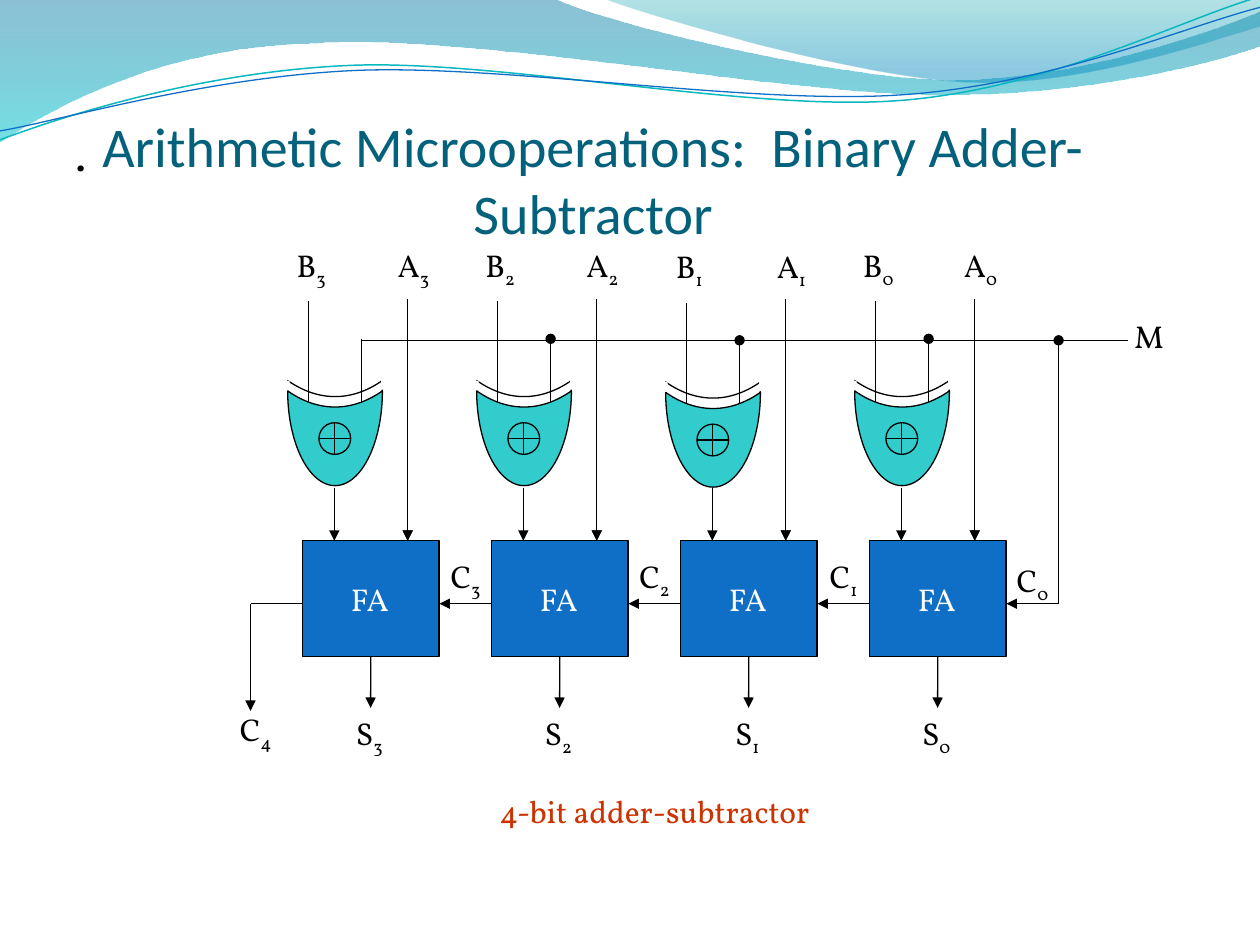
"""Build the slide on the 4-bit binary adder-subtractor."""
from lxml.etree import SubElement
from pptx import Presentation
from pptx.dml.color import RGBColor
from pptx.enum.shapes import MSO_CONNECTOR as CONNECTOR, MSO_SHAPE as SHAPE
from pptx.enum.text import PP_ALIGN as ALIGN
from pptx.oxml.ns import qn
from pptx.util import Cm, Pt

rgb = RGBColor.from_string
BLACK, WHITE, BLUE, TEAL = "000000", "FFFFFF", "0F6FC6", "33CCCC"

presentation = Presentation()
presentation.slide_width, presentation.slide_height = Cm(25.4), Cm(19.05)
slide = presentation.slides.add_slide(presentation.slide_layouts[6])
shapes = slide.shapes


def add_text(text, box, subscript="", size=18, font="Vollkorn", color=BLACK,
             align=ALIGN.CENTER):
    """Write text, with an optional subscript, into a new text box."""
    frame = shapes.add_textbox(*map(Cm, box)).text_frame
    frame.word_wrap = True
    paragraph = frame.paragraphs[0]
    paragraph.alignment = align
    for content, baseline in ((text, None), (subscript, "-25000")):
        if content:
            run = paragraph.add_run()
            run.text = content
            run.font.size, run.font.name = Pt(size), font
            run.font.color.rgb = rgb(color)
            if baseline:
                run._r.get_or_add_rPr().set("baseline", baseline)


def add_line(x1, y1, x2, y2, head=None, tail=None):
    """Draw a thin black wire with optional end marks."""
    connector = shapes.add_connector(CONNECTOR.STRAIGHT, Cm(x1), Cm(y1), Cm(x2), Cm(y2))
    connector.line.width = Pt(0.75)
    connector.line.color.rgb = rgb(BLACK)
    properties = connector.element.spPr
    for tag, kind in (("a:headEnd", head), ("a:tailEnd", tail)):
        if kind:
            SubElement(properties.find(qn("a:ln")), qn(tag), type=kind)
    SubElement(properties, qn("a:effectLst"))
    return connector


waves = [
    ((0, 0),
     [(11.18, -0.03), (12.09, 0.43, 16.87, 1.6, 19.25, 1.6),
      (21.67, 1.6, 24.33, 0.66, 25.4, 0.23), (25.43, 0.91),
      (24.97, 1.12, 22.1, 1.93, 18.95, 1.91), (15.8, 1.91, 9.7, 0.71, 6.53, 0.86),
      (3.28, 0.91, 1.17, 2.11, -0.03, 2.87), (0, 0)],
     [(0, "0074A1", 45), (1, "00C6CF", 55)], None),
    ((12.17, -0.03),
     [(12.93, 0.28, 17.32, 1.57, 19.53, 1.65), (21.74, 1.75, 24.41, 0.81, 25.4, 0.53),
      (25.4, 0), (12.17, -0.03)],
     [(0, "00A1A9", 30), (0.8, "008BBF", 45)], None),
    ((0, 2.82),
     [(1.22, 2.36, 4.01, 1.45, 7.04, 1.32), (10.03, 1.19, 15.06, 2.26, 18.11, 2.03),
      (21.16, 1.8, 23.83, 0.38, 25.35, -0.05)],
     None, ("0AB8BF", 0.85)),
    ((0, 2.64),
     [(1.19, 2.44, 4.17, 1.55, 7.19, 1.42), (10.24, 1.3, 15.16, 2.13, 18.21, 1.91),
      (21.23, 1.7, 23.9, 0.53, 25.4, 0.15)],
     None, (BLUE, 0.75)),
]
for start, segments, stops, outline in waves:
    points = [(Cm(x), Cm(y)) for segment in segments
              for x, y in zip(segment[::2], segment[1::2])]
    builder = shapes.build_freeform(Cm(start[0]), Cm(start[1]))
    builder.add_line_segments(points, close=bool(stops))
    wave = builder.convert_to_shape()
    wave.shadow.inherit = False
    vertices = iter(list(wave.element.spPr.iter(qn("a:lnTo"))))
    for segment in segments:
        corners = [next(vertices) for _ in segment[::2]]
        if len(corners) == 3:
            outline_element = corners[0].getparent()
            curve = SubElement(outline_element, qn("a:cubicBezTo"))
            corners[0].addprevious(curve)
            for corner in corners:
                curve.append(corner[0])
                outline_element.remove(corner)
    if stops:
        wave.line.fill.background()
        wave.fill.gradient()
        wave.fill.gradient_angle = 270
        for stop, (position, color, alpha) in zip(wave.fill.gradient_stops, stops):
            stop.position = position
            stop.color.rgb = rgb(color)
        for color_element, stop in zip(wave.element.spPr.iter(qn("a:srgbClr")), stops):
            SubElement(color_element, qn("a:alpha"), val=str(stop[2] * 1000))
    else:
        wave.fill.background()
        wave.line.color.rgb = rgb(outline[0])
        wave.line.width = Pt(outline[1])

add_text(".", (1.27, 2.41, 22.86, 14.6), size=26, align=ALIGN.LEFT)
add_text("Arithmetic Microoperations:  Binary Adder-Subtractor", (0.63, 2.12, 22.66, 3),
         size=32, font="Calibri", color="04617B")

LEFT, PITCH, BITS = 6.1, 3.81, 4
ADDER_TOP, CARRY_Y, BUS_Y = 10.9, 12.17, 6.86
LABEL = (1.47, 1.17)
gate_parts = [
    (SHAPE.MOON, -0.3, 7.67, 1.91, 1.91, None, BLACK),
    (SHAPE.MOON, -0.3, 7.88, 1.91, 1.91, TEAL, BLACK),
    (SHAPE.RECTANGLE, -0.46, 7.67, 0.2, 0.2, WHITE, None),
    (SHAPE.RECTANGLE, 1.57, 7.64, 0.23, 0.2, WHITE, None),
    (SHAPE.FLOWCHART_OR, 0.33, 8.52, 0.64, 0.64, TEAL, BLACK),
]
for column in range(BITS):
    x = LEFT + column * PITCH
    bit = str(BITS - 1 - column)
    drop = 0.03 if bit == "1" else 0

    adder = shapes.add_shape(SHAPE.RECTANGLE, Cm(x), Cm(ADDER_TOP), Cm(2.75), Cm(2.33))
    adder.shadow.inherit = False
    adder.fill.solid()
    adder.fill.fore_color.rgb = rgb(BLUE)
    adder.line.color.rgb = rgb(BLACK)
    adder.line.width = Pt(0.75)
    add_text("FA", (x + 0.3, 11.56, 2.11, 1.02), color=WHITE)

    for kind, dx, y, width, height, fill, outline in gate_parts:
        part = shapes.add_shape(kind, Cm(x + dx), Cm(y + drop), Cm(width), Cm(height))
        part.rotation = 270
        part.shadow.inherit = False
        if kind == SHAPE.MOON:
            part.adjustments[0] = 0.83
        if fill:
            part.fill.solid()
            part.fill.fore_color.rgb = rgb(fill)
        else:
            part.fill.background()
        if outline:
            part.line.color.rgb = rgb(outline)
            part.line.width = Pt(0.75)
        else:
            part.line.fill.background()

    add_line(x + 0.12, 8.1 + drop, x + 0.12, 6.07 + drop)
    add_line(x + 1.19, 8.1 + drop, x + 1.19, 6.83 + drop, tail="oval" if column else None)
    for dx, top in ((0.64, 9.83), (2.12, 9.83), (2.12, 6.03)):
        add_line(x + dx, top, x + dx, ADDER_TOP, tail="triangle")
    sum_line = add_line(x + 1.37, 13.23, x + 1.37, 14.27, tail="triangle")
    sum_line.begin_connect(adder, 2)

    carry_label_y = 11.1 if column < BITS - 1 else 11.18
    for letter, dx, y in (("B", -0.56, 4.83 + drop), ("A", 1.5, 4.83 + drop),
                          ("S", 0.61, 14.27), ("C", 2.55, carry_label_y)):
        add_text(letter, (x + dx, y, *LABEL), subscript=bit)

for column in range(BITS + 1):
    x = LEFT + column * PITCH
    add_line(x, CARRY_Y, x - 1.05, CARRY_Y, tail="triangle" if column else None)
add_line(LEFT - 1.05, CARRY_Y, LEFT - 1.05, 14.33, tail="triangle")
add_text("C", (4.42, 14.19, *LABEL), subscript="4")

add_line(LEFT + 1.19, BUS_Y, 22.73, BUS_Y)
bus_end = LEFT + BITS * PITCH
add_line(bus_end, BUS_Y, bus_end, CARRY_Y, head="oval")
add_text("M", (22.53, 6.27, 1.27, 1.02))
add_text("4-bit adder-subtractor", (8.43, 15.85, 9.53, 1.02), color="CC3300")

presentation.save("out.pptx")
